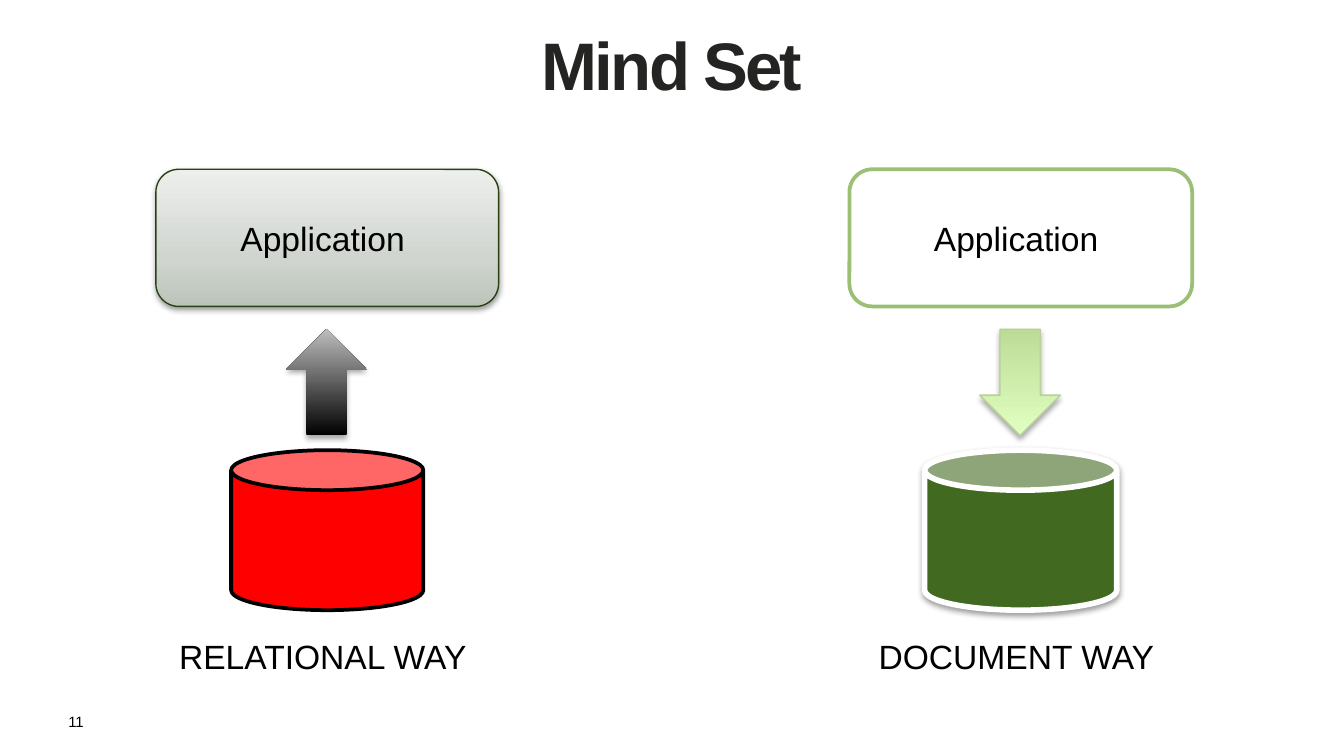
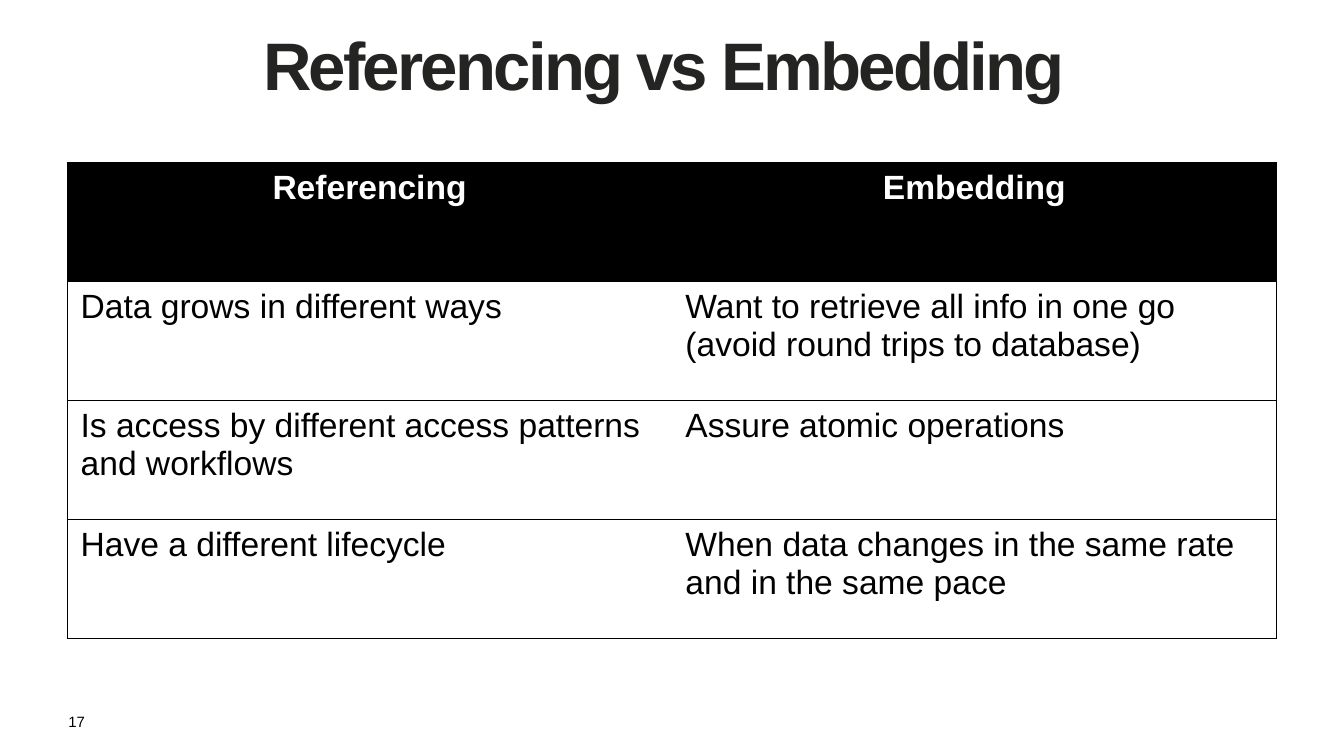
from lxml.etree import SubElement
from pptx import Presentation
from pptx.dml.color import RGBColor
from pptx.enum.shapes import MSO_SHAPE
from pptx.enum.text import MSO_ANCHOR, PP_ALIGN
from pptx.oxml.ns import qn
from pptx.util import Inches, Pt

FONT = "Arial"
BLACK = RGBColor(0x00, 0x00, 0x00)
WHITE = RGBColor(0xFF, 0xFF, 0xFF)
TITLE_GRAY = RGBColor(0x24, 0x24, 0x23)
RED = RGBColor(0xFF, 0x00, 0x00)
GREEN = RGBColor(0x41, 0x6A, 0x20)
DARK_GREEN = RGBColor(0x28, 0x42, 0x14)
SOFT_GREEN = RGBColor(0x9A, 0xBF, 0x75)
PALE_GREEN = RGBColor(0xB7, 0xD1, 0x99)
# Gradients run from bottom to top: (percent, colour)
SAGE_GRADIENT = [(0, RGBColor(0xBC, 0xC4, 0xBA)), (35, RGBColor(0xD0, 0xD5, 0xCF)),
                 (100, RGBColor(0xED, 0xEF, 0xED))]
BLACK_GRADIENT = [(0, BLACK), (100, RGBColor(0xBD, 0xBD, 0xBD))]
LIME_GRADIENT = [(0, RGBColor(0xBC, 0xDC, 0x96)), (100, RGBColor(0xE1, 0xFF, 0xC2))]
# Shadows: opacity in percent, distance in points
SHAPE_SHADOW = (38, 1.6)
ARROW_SHADOW = (35, 1.8)


def write(frame, text, size=18, color=BLACK, bold=False, align=PP_ALIGN.CENTER,
          anchor=MSO_ANCHOR.TOP, wrap=True, spacing=None):
    frame.word_wrap = wrap
    frame.vertical_anchor = anchor
    paragraph = frame.paragraphs[0]
    paragraph.alignment = align
    run = paragraph.add_run()
    run.text = text
    run.font.name = FONT
    run.font.size = Pt(size)
    run.font.bold = bold
    run.font.color.rgb = color
    if spacing is not None:
        run.font._element.set("spc", str(round(spacing * 100)))


def add_styled_shape(slide, kind, box, fill, line=None, shadow=None):
    """Add a shape; fill is a colour or gradient stops, line is (colour, points)."""
    shape = slide.shapes.add_shape(kind, *map(Inches, box))
    shape.shadow.inherit = False
    if isinstance(fill, RGBColor):
        shape.fill.solid()
        shape.fill.fore_color.rgb = fill
    else:
        shape.fill.gradient()
        shape.fill.gradient_angle = 90
        stops = shape._element.spPr.find(".//" + qn("a:gsLst"))
        for stop in list(stops):
            stops.remove(stop)
        for percent, color in fill:
            stop = SubElement(stops, qn("a:gs"), pos=str(percent * 1000))
            SubElement(stop, qn("a:srgbClr"), val=str(color))
    if line:
        shape.line.color.rgb = line[0]
        shape.line.width = Pt(line[1])
    else:
        shape.line.fill.background()
    if shadow:
        opacity, distance = shadow
        effects = shape._element.spPr.find(qn("a:effectLst"))
        outer = SubElement(effects, qn("a:outerShdw"), blurRad=str(Pt(3.1)),
                           dist=str(Pt(distance)), dir="5400000", rotWithShape="0")
        color = SubElement(outer, qn("a:srgbClr"), val=str(BLACK))
        SubElement(color, qn("a:alpha"), val=str(opacity * 1000))
    return shape


presentation = Presentation()
presentation.slide_width = Inches(10)
presentation.slide_height = presentation.slide_width * 9 // 16

# Title and page number of every slide
slides = []
for title, number in [("Mind Set", "11"), ("Referencing vs Embedding ", "17")]:
    slide = presentation.slides.add_slide(presentation.slide_layouts[6])
    number_box = slide.shapes.add_textbox(Inches(0.41), Inches(5.25), Inches(0.34), Inches(0.24))
    write(number_box.text_frame, number, size=8, align=PP_ALIGN.LEFT, wrap=False)
    title_box = slide.shapes.add_textbox(Inches(0.5), Inches(0.01), Inches(9), Inches(0.93))
    write(title_box.text_frame, title, size=36, color=TITLE_GRAY, bold=True,
          anchor=MSO_ANCHOR.MIDDLE, spacing=-1.5)
    slides.append(slide)
mind_set, comparison = slides

# Mind Set: two columns of application, arrow and database
ways = [
    dict(label="RELATIONAL WAY ", left=0.93, rotation=0,
         database=(RED, (BLACK, 2)),
         application=(SAGE_GRADIENT, (DARK_GREEN, 0.75), SHAPE_SHADOW),
         arrow=(BLACK_GRADIENT, None, ARROW_SHADOW)),
    dict(label="DOCUMENT WAY ", left=6.09, rotation=180,
         database=(GREEN, (WHITE, 3), SHAPE_SHADOW),
         application=(WHITE, (SOFT_GREEN, 2)),
         arrow=(LIME_GRADIENT, (PALE_GREEN, 0.75), ARROW_SHADOW)),
]
for way in ways:
    left = way["left"]
    add_styled_shape(mind_set, MSO_SHAPE.CAN, (left + 0.79, 3.35, 1.43, 1.19), *way["database"])
    application = add_styled_shape(mind_set, MSO_SHAPE.ROUNDED_RECTANGLE,
                                   (left + 0.23, 1.26, 2.55, 1.02), *way["application"])
    write(application.text_frame, "Application ", anchor=MSO_ANCHOR.MIDDLE)
    arrow = add_styled_shape(mind_set, MSO_SHAPE.UP_ARROW,
                             (left + 1.2, 2.45, 0.6, 0.79), *way["arrow"])
    arrow.rotation = way["rotation"]
    label_box = mind_set.shapes.add_textbox(Inches(left), Inches(4.68), Inches(3.01), Inches(0.4))
    write(label_box.text_frame, way["label"])

# Referencing vs Embedding: table with an outer frame and row lines
rows = [
    ("Referencing", "Embedding"),
    ("Data grows in different ways",
     "Want to retrieve all info in one go (avoid round trips to database)"),
    ("Is access by different access patterns and workflows", "Assure atomic operations"),
    ("Have a different lifecycle", "When data changes in the same rate and in the same pace"),
]
table = comparison.shapes.add_table(len(rows), 2, Inches(0.5), Inches(1.21),
                                    Inches(9), Inches(3.54)).table
for row_index, texts in enumerate(rows):
    header = row_index == 0
    for column_index, text in enumerate(texts):
        cell = table.cell(row_index, column_index)
        properties = cell._tc.get_or_add_tcPr()
        inner_side = "lnR" if column_index == 0 else "lnL"
        for side in ("lnL", "lnR", "lnT", "lnB"):
            border = SubElement(properties, qn("a:" + side), w=str(Pt(0.75)))
            if side == inner_side:
                SubElement(border, qn("a:noFill"))
            else:
                border_fill = SubElement(border, qn("a:solidFill"))
                SubElement(border_fill, qn("a:srgbClr"), val=str(BLACK))
        cell.fill.solid()
        cell.fill.fore_color.rgb = BLACK if header else WHITE
        write(cell.text_frame, text, bold=header, color=WHITE if header else BLACK,
              align=PP_ALIGN.CENTER if header else PP_ALIGN.LEFT)

presentation.save("out.pptx")
